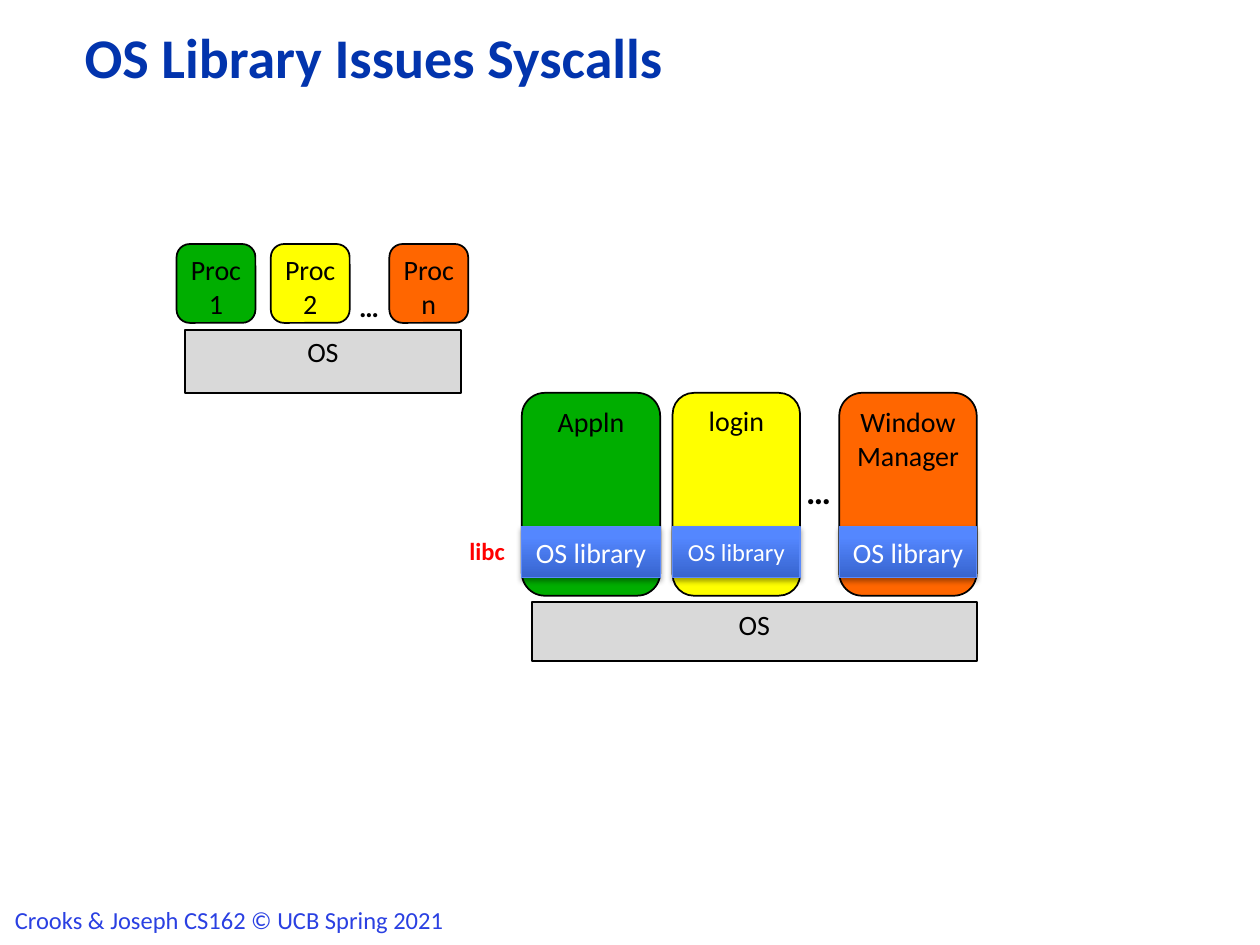
from copy import deepcopy
from typing import NamedTuple

from lxml.etree import SubElement
from pptx import Presentation
from pptx.dml.color import RGBColor
from pptx.enum.shapes import MSO_SHAPE as Shp
from pptx.enum.text import MSO_ANCHOR as Anchor, MSO_AUTO_SIZE as Auto, PP_ALIGN as Align
from pptx.oxml.ns import qn
from pptx.util import Cm, Pt

COLORS = {
    "title": "0234AD", "footer": "2A40E2", "libc": "FF0000",
    "black": "000000", "white": "FFFFFF", "os": "D9D9D9",
    "green": "00AE00", "yellow": "FFFF00", "orange": "FF6600",
    "lib_line": "5B8AFB",
}
LIB_STOPS = ((0, "3764CE"), (80, "5487FF"), (100, "5688FF"))
BOX_INSETS = {"margin_left": Cm(0.18), "margin_right": Cm(0.18),
              "margin_top": Cm(0.1), "margin_bottom": Cm(0.1)}
PROC_TOP, PROC_SIZE = 4.92, 1.59
APP_TOP, APP_HEIGHT = 7.92, 4.09
LIB_TOP, LIB_HEIGHT = 10.62, 1.02


class Rect(NamedTuple):
    left: float
    top: float
    width: float
    height: float


class Process(NamedTuple):
    name: str
    left: float
    color: str


class App(NamedTuple):
    name: str
    left: float
    width: float
    color: str
    lib_size: int = 16


class Label(NamedTuple):
    text: str
    rect: Rect
    size: int
    color: str = "black"
    bold: bool = False
    align: Align = Align.LEFT
    wrap: bool = False


PROCESSES = (Process("Proc 1", 3.56, "green"),
             Process("Proc 2", 5.46, "yellow"),
             Process("Proc n", 7.85, "orange"))
APPS = (App("Appln", 10.52, 2.79, "green"),
        App("login", 13.56, 2.57, "yellow", 14),
        App("Window Manager", 16.92, 2.77, "orange"))
PROC_DOTS = Label("…", Rect(6.99, 5.72, 0.91, 0.94), 16, bold=True)
APP_DOTS = Label("…", Rect(16, 9.35, 1.22, 1.14), 20, bold=True, wrap=True)
LIBC = Label("libc", Rect(9.19, 10.69, 1.24, 0.86), 14, "libc", True, Align.RIGHT)
FOOTER = Label("Crooks & Joseph CS162 © UCB Spring 2021",
               Rect(0.05, 18.11, 9.22, 0.86), 14, "footer")


def rgb(name: str) -> RGBColor:
    return RGBColor.from_string(COLORS[name])


def to_cm(rect: Rect) -> list:
    return [Cm(v) for v in rect]


def write(tf, text: str, size: int, color: str, bold=False, align=Align.CENTER) -> None:
    p = tf.paragraphs[0]
    p.alignment = align
    r = p.add_run()
    r.text = text
    font = {"name": "Calibri", "size": Pt(size), "bold": bold}
    for key, value in font.items():
        setattr(r.font, key, value)
    r.font.color.rgb = rgb(color)


def add_label(s, label: Label) -> None:
    tf = s.shapes.add_textbox(*to_cm(label.rect)).text_frame
    tf.word_wrap = label.wrap
    tf.auto_size = Auto.SHAPE_TO_FIT_TEXT
    write(tf, label.text, label.size, label.color, label.bold, label.align)


def add_box(s, kind: Shp, rect: Rect, text: str, color: str) -> None:
    sp = s.shapes.add_shape(kind, *to_cm(rect))
    sp.shadow.inherit = False
    sp.fill.solid()
    sp.fill.fore_color.rgb = rgb(color)
    sp.line.color.rgb = rgb("black")
    sp.line.width = Pt(1)
    tf = sp.text_frame
    for key, value in BOX_INSETS.items():
        setattr(tf, key, value)
    tf.vertical_anchor = Anchor.TOP
    write(tf, text, 16, "black")


def shade(sp) -> None:
    """Give a shape the library gradient and a soft shadow below it."""
    sp.fill.gradient()
    sp.fill.gradient_angle = 90
    stops = sp._element.spPr.find(".//" + qn("a:gsLst"))
    template = deepcopy(stops[0])
    for stop in list(stops):
        stops.remove(stop)
    for position, color in LIB_STOPS:
        stop = deepcopy(template)
        stop.set("pos", str(position * 1000))
        for child in list(stop):
            stop.remove(child)
        SubElement(stop, qn("a:srgbClr"), val=color)
        stops.append(stop)

    sp.shadow.inherit = False
    effects = sp._element.spPr.find(qn("a:effectLst"))
    shadow = SubElement(effects, qn("a:outerShdw"), blurRad=str(Pt(3.1)),
                        dist=str(Pt(1.8)), dir="5400000", rotWithShape="0")
    tint = SubElement(shadow, qn("a:srgbClr"), val=COLORS["black"])
    SubElement(tint, qn("a:alpha"), val="35000")


def add_library(s, app: App) -> None:
    rect = Rect(app.left, LIB_TOP, app.width, LIB_HEIGHT)
    sp = s.shapes.add_shape(Shp.RECTANGLE, *to_cm(rect))
    shade(sp)
    sp.line.color.rgb = rgb("lib_line")
    sp.line.width = Pt(0.75)
    sp.text_frame.vertical_anchor = Anchor.MIDDLE
    write(sp.text_frame, "OS library", app.lib_size, "white")


def add_title(s, text: str) -> None:
    title = s.shapes.title
    title.left, title.top, title.width, title.height = to_cm(Rect(1.45, 0.48, 19.89, 1.47))
    tf = title.text_frame
    tf.auto_size = Auto.NONE
    tf.vertical_anchor = Anchor.MIDDLE
    write(tf, text, 32, "title", True, Align.LEFT)
    tf.paragraphs[0].line_spacing = 0.9


def main() -> None:
    prs = Presentation()
    prs.slide_width, prs.slide_height = Cm(25.4), Cm(19.05)
    s = prs.slides.add_slide(prs.slide_layouts[5])
    add_title(s, "OS Library Issues Syscalls")

    add_box(s, Shp.RECTANGLE, Rect(3.73, 6.65, 5.56, 1.27), "OS", "os")
    for proc in PROCESSES:
        rect = Rect(proc.left, PROC_TOP, PROC_SIZE, PROC_SIZE)
        add_box(s, Shp.ROUNDED_RECTANGLE, rect, proc.name, proc.color)
    add_label(s, PROC_DOTS)

    add_box(s, Shp.RECTANGLE, Rect(10.72, 12.14, 8.97, 1.19), "OS", "os")
    for app in APPS:
        rect = Rect(app.left, APP_TOP, app.width, APP_HEIGHT)
        add_box(s, Shp.ROUNDED_RECTANGLE, rect, app.name, app.color)
    add_label(s, APP_DOTS)
    for app in APPS:
        add_library(s, app)
    add_label(s, LIBC)
    add_label(s, FOOTER)
    prs.save("out.pptx")


if __name__ == "__main__":
    main()
